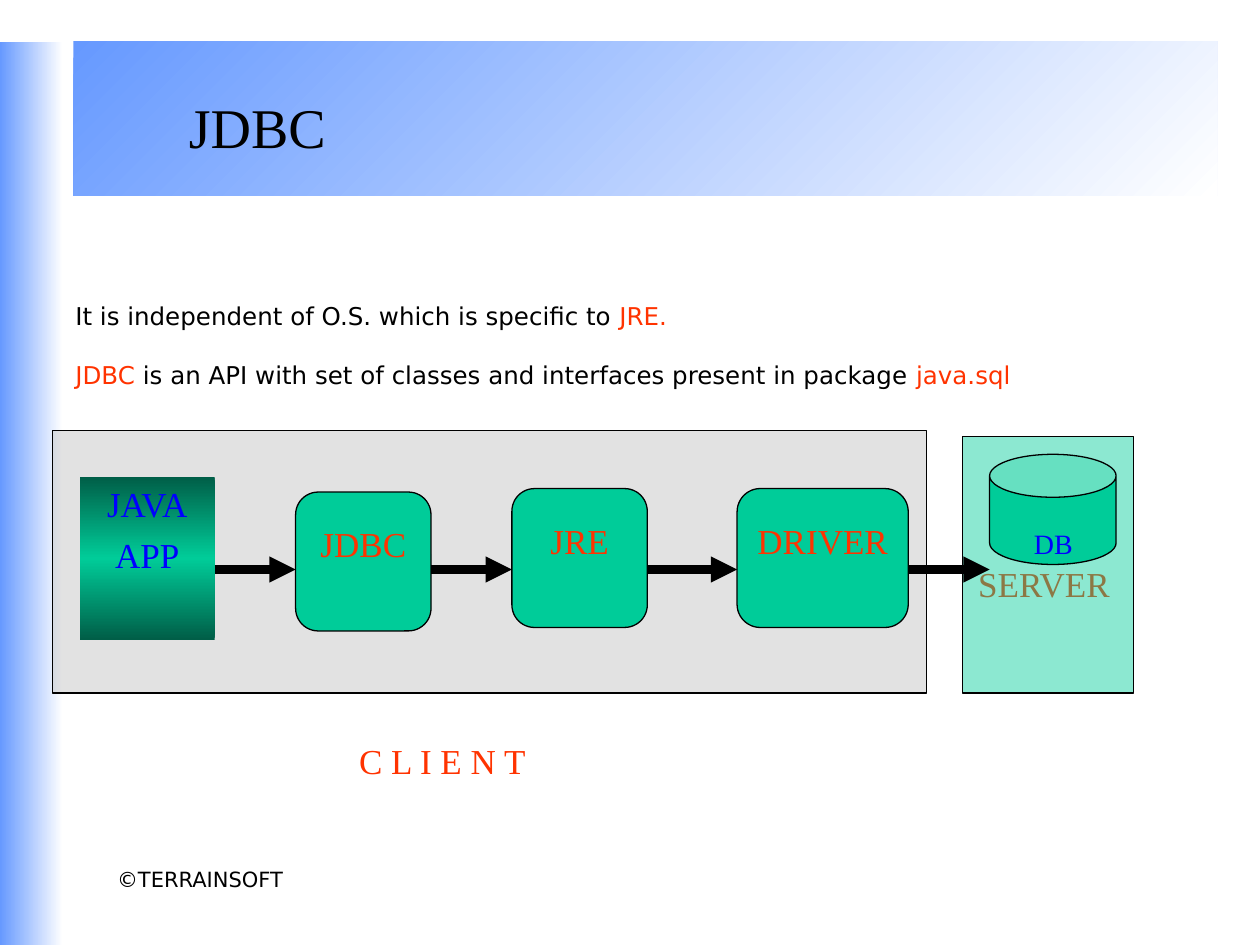
from copy import deepcopy
from dataclasses import dataclass

from lxml.etree import SubElement
from pptx import Presentation
from pptx.dml.color import RGBColor
from pptx.enum.shapes import MSO_CONNECTOR, MSO_SHAPE
from pptx.enum.text import MSO_ANCHOR, PP_ALIGN
from pptx.oxml.ns import qn
from pptx.util import Cm, Pt

BLACK = RGBColor(0x00, 0x00, 0x00)
WHITE = RGBColor(0xFF, 0xFF, 0xFF)
SKY = RGBColor(0x66, 0x99, 0xFF)
BLUE = RGBColor(0x00, 0x00, 0xFF)
RED = RGBColor(0xFF, 0x33, 0x00)
GREEN = RGBColor(0x00, 0xCC, 0x99)
PINE = RGBColor(0x00, 0x5E, 0x47)
GREY = RGBColor(0xC0, 0xC0, 0xC0)

SERIF = "Times New Roman"
SANS = "DejaVu Sans"
FLOW_Y = 11.48


@dataclass(frozen=True)
class Box:
    left: float
    top: float
    width: float
    height: float

    def emu(self) -> tuple:
        return Cm(self.left), Cm(self.top), Cm(self.width), Cm(self.height)


@dataclass(frozen=True)
class Label:
    text: str
    box: Box
    size: int = 20
    color: RGBColor = RED
    font: str = SERIF
    align: PP_ALIGN = PP_ALIGN.CENTER
    anchor: MSO_ANCHOR = MSO_ANCHOR.TOP


@dataclass(frozen=True)
class Step:
    name: str
    box: Box


def add_shape(slide, kind: MSO_SHAPE, box: Box):
    shape = slide.shapes.add_shape(kind, *box.emu())
    shape.shadow.inherit = False
    return shape


def add_solid(slide, kind: MSO_SHAPE, box: Box, color: RGBColor, alpha: int = 100):
    """Draw a black-edged shape; alpha is its opacity in percent."""
    shape = add_shape(slide, kind, box)
    shape.fill.solid()
    shape.fill.fore_color.rgb = color
    if alpha < 100:
        tint = shape._element.spPr.find(f"{qn('a:solidFill')}/{qn('a:srgbClr')}")
        SubElement(tint, qn("a:alpha"), val=str(alpha * 1000))
    shape.line.color.rgb = BLACK
    shape.line.width = Pt(0.75)
    return shape


def add_fade(slide, box: Box, colors: list[RGBColor], angle: float):
    """Draw a rectangle with evenly spaced gradient stops, angle counter-clockwise."""
    shape = add_shape(slide, MSO_SHAPE.RECTANGLE, box)
    shape.line.fill.background()
    shape.fill.gradient()
    shape.fill.gradient_angle = angle
    stops = shape._element.spPr.find(f"{qn('a:gradFill')}/{qn('a:gsLst')}")
    for _ in colors[2:]:
        stops.append(deepcopy(stops[0]))
    for i, (stop, color) in enumerate(zip(shape.fill.gradient_stops, colors)):
        stop.position = i / (len(colors) - 1)
        stop.color.rgb = color
    return shape


def add_frame(slide, box: Box):
    frame = slide.shapes.add_textbox(*box.emu()).text_frame
    frame.word_wrap = True
    return frame


def style(para, font: str, size: int, color: RGBColor | None = None) -> None:
    para.font.name = font
    para.font.size = Pt(size)
    if color is not None:
        para.font.color.rgb = color


def add_label(slide, label: Label) -> None:
    frame = add_frame(slide, label.box)
    frame.vertical_anchor = label.anchor
    para = frame.paragraphs[0]
    para.text = label.text
    para.alignment = label.align
    style(para, label.font, label.size, label.color)


def add_body(slide, box: Box, lines: list) -> None:
    frame = add_frame(slide, box)
    for i, parts in enumerate(lines):
        para = frame.add_paragraph() if i else frame.paragraphs[0]
        para.line_spacing = 1.5
        if i:
            para.space_before = Pt(8.8)
        style(para, SANS, 14)
        for text, color in parts:
            run = para.add_run()
            run.text = text
            run.font.color.rgb = color


def add_arrow(slide, start: float, end: float) -> None:
    arrow = slide.shapes.add_connector(
        MSO_CONNECTOR.STRAIGHT, Cm(start), Cm(FLOW_Y), Cm(end), Cm(FLOW_Y))
    arrow.line.color.rgb = BLACK
    arrow.line.width = Pt(5)
    SubElement(arrow.line._get_or_add_ln(), qn("a:tailEnd"), type="triangle")
    SubElement(arrow._element.spPr, qn("a:effectLst"))


def add_app(slide, box: Box) -> None:
    frame = add_fade(slide, box, [PINE, GREEN, PINE], 270).text_frame
    frame.vertical_anchor = MSO_ANCHOR.TOP
    for i, word in enumerate(("JAVA", "APP")):
        para = frame.add_paragraph() if i else frame.paragraphs[0]
        para.text = word
        para.alignment = PP_ALIGN.CENTER
        if i:
            para.space_before = Pt(5)
        style(para, SERIF, 20, BLUE)


def add_step(slide, step: Step) -> None:
    box = step.box
    add_solid(slide, MSO_SHAPE.ROUNDED_RECTANGLE, box, GREEN)
    add_label(slide, Label(step.name, Box(box.left - 0.18, box.top + 0.49,
                                          box.width + 0.36, 1.11)))


def main() -> None:
    deck = Presentation()
    deck.slide_width, deck.slide_height = Cm(25.4), Cm(19.05)
    slide = deck.slides.add_slide(deck.slide_layouts[6])

    add_label(slide, Label("©TERRAINSOFT", Box(2.11, 17.35, 5.72, 1.07), 12,
                           BLACK, SANS, PP_ALIGN.LEFT))
    add_fade(slide, Box(1.48, 0.83, 23.07, 3.11), [SKY, WHITE], 315)
    add_fade(slide, Box(0, 0.85, 1.27, 18.2), [SKY, WHITE], 0)
    add_label(slide, Label("JDBC", Box(2.33, 1.9, 5.72, 1.27), 32, BLACK,
                           anchor=MSO_ANCHOR.MIDDLE))
    # The label lies under the translucent server panel, which tints it.
    add_label(slide, Label("SERVER", Box(19.47, 11.22, 3.6, 1.11),
                           align=PP_ALIGN.LEFT))
    add_body(slide, Box(1.27, 5.64, 23.5, 2.06), [
        [("It is independent of O.S. which is specific to ", BLACK), ("JRE.", RED)],
        [("JDBC ", RED),
         ("is an API with set of classes and interfaces present in package", BLACK),
         (" java.sql", RED)],
    ])

    add_solid(slide, MSO_SHAPE.RECTANGLE, Box(19.4, 8.8, 3.45, 5.17), GREEN, 45)
    add_solid(slide, MSO_SHAPE.RECTANGLE, Box(1.06, 8.68, 17.62, 5.29), GREY, 45)

    app = Box(1.61, 9.61, 2.72, 3.29)
    store = Box(19.95, 9.16, 2.55, 2.22)
    steps = [
        Step("JDBC", Box(5.96, 9.92, 2.73, 2.8)),
        Step("JRE", Box(10.32, 9.85, 2.73, 2.8)),
        Step("DRIVER", Box(14.86, 9.85, 3.45, 2.8)),
    ]
    add_app(slide, app)
    can = add_solid(slide, MSO_SHAPE.CAN, store, GREEN)
    can.adjustments[0] = 0.39
    add_label(slide, Label("DB", Box(20.09, 10.49, 2.29, 0.94), 16, BLUE))
    for step in steps:
        add_step(slide, step)

    chain = [app, *(step.box for step in steps), store]
    for near, far in zip(chain, chain[1:]):
        add_arrow(slide, near.left + near.width, far.left)

    add_label(slide, Label("C L I E N T", Box(6.99, 14.78, 4.04, 1.11),
                           align=PP_ALIGN.LEFT))
    deck.save("out.pptx")


if __name__ == "__main__":
    main()
